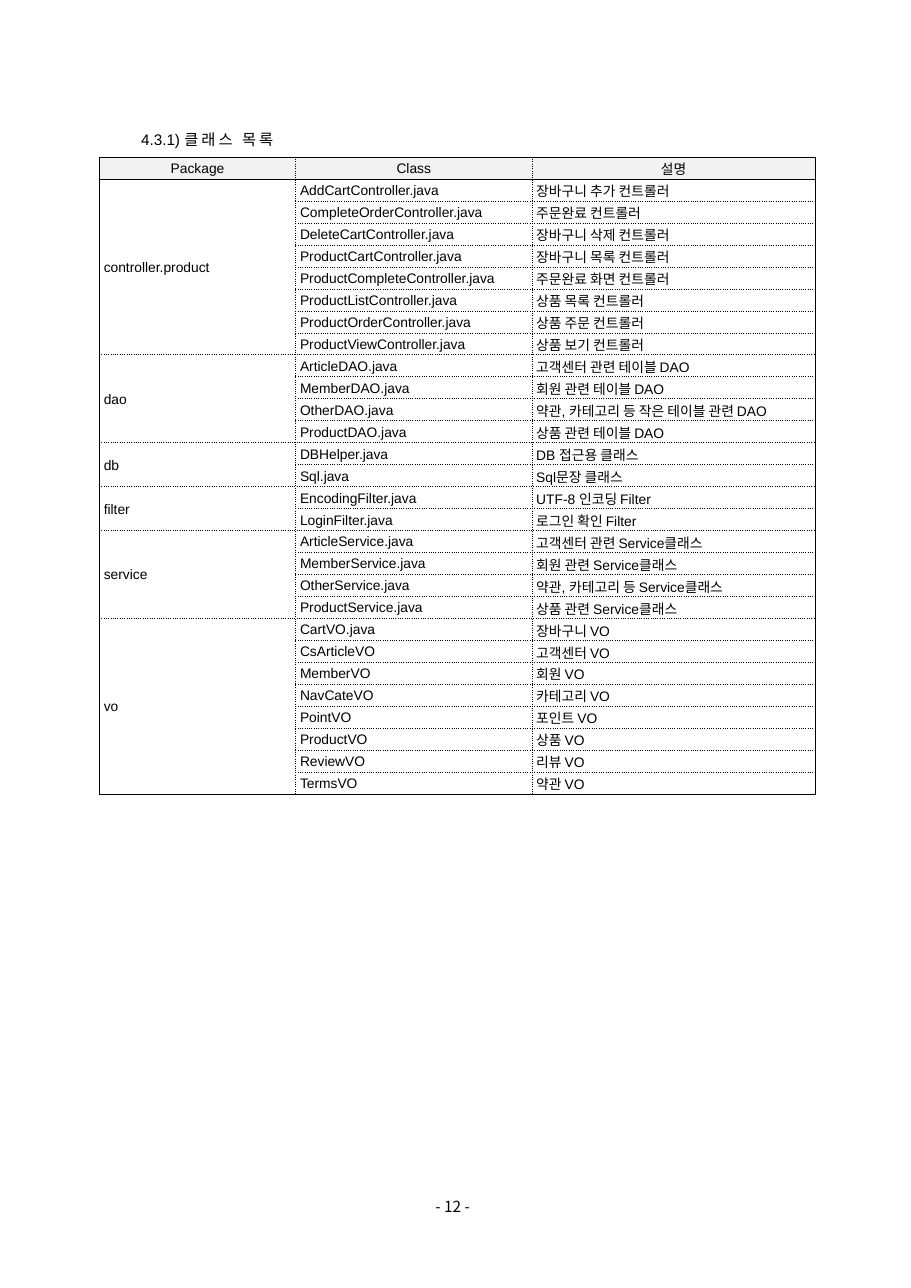
from lxml import etree
from pptx import Presentation, util as u
from pptx.dml.color import RGBColor
from pptx.enum import text
from pptx.oxml import ns

COLORS = {"ink": "000000", "header": "F2F2F2"}
LATIN, KOREAN = "Arial", "Noto Sans CJK KR"

HEADINGS = ("Package", "Class", "설명")
PACKAGES = {
    "controller.product": [
        ("AddCartController.java", "장바구니 추가 컨트롤러"),
        ("CompleteOrderController.java", "주문완료 컨트롤러"),
        ("DeleteCartController.java", "장바구니 삭제 컨트롤러"),
        ("ProductCartController.java", "장바구니 목록 컨트롤러"),
        ("ProductCompleteController.java", "주문완료 화면 컨트롤러"),
        ("ProductListController.java", "상품 목록 컨트롤러"),
        ("ProductOrderController.java", "상품 주문 컨트롤러"),
        ("ProductViewController.java", "상품 보기 컨트롤러"),
    ],
    "dao": [
        ("ArticleDAO.java", "고객센터 관련 테이블 DAO"),
        ("MemberDAO.java", "회원 관련 테이블 DAO"),
        ("OtherDAO.java", "약관, 카테고리 등 작은 테이블 관련 DAO"),
        ("ProductDAO.java", "상품 관련 테이블 DAO"),
    ],
    "db": [
        ("DBHelper.java", "DB 접근용 클래스"),
        ("Sql.java", "Sql문장 클래스"),
    ],
    "filter": [
        ("EncodingFilter.java", "UTF-8 인코딩 Filter"),
        ("LoginFilter.java", "로그인 확인 Filter"),
    ],
    "service": [
        ("ArticleService.java", "고객센터 관련 Service클래스"),
        ("MemberService.java", "회원 관련 Service클래스"),
        ("OtherService.java", "약관, 카테고리 등 Service클래스"),
        ("ProductService.java", "상품 관련 Service클래스"),
    ],
    "vo": [
        ("CartVO.java", "장바구니 VO"),
        ("CsArticleVO", "고객센터 VO"),
        ("MemberVO", "회원 VO"),
        ("NavCateVO", "카테고리 VO"),
        ("PointVO", "포인트 VO"),
        ("ProductVO", "상품 VO"),
        ("ReviewVO", "리뷰 VO"),
        ("TermsVO", "약관 VO"),
    ],
}


def add_span(para, words, size, latin=LATIN, spacing=0):
    """Add a run with Latin and Korean fonts; spacing is in points."""
    span = para.add_run()
    span.text = words
    span.font.size = u.Pt(size)
    span.font.name = latin
    span.font.color.rgb = RGBColor.from_string(COLORS["ink"])
    props = span.font._element
    etree.SubElement(props, ns.qn("a:ea"), typeface=KOREAN)
    if spacing:
        props.set("spc", str(spacing * 100))


def add_border(cell, side, solid):
    """Draw one edge of a cell, solid or dotted."""
    line = etree.SubElement(cell._tc.get_or_add_tcPr(), ns.qn(f"a:ln{side}"), w=str(u.Pt(0.5)))
    fill = etree.SubElement(line, ns.qn("a:solidFill"))
    etree.SubElement(fill, ns.qn("a:srgbClr"), val=COLORS["ink"])
    etree.SubElement(line, ns.qn("a:prstDash"), val="solid" if solid else "sysDot")


deck = Presentation()
deck.slide_width, deck.slide_height = u.Cm(20.98), u.Cm(29.67)
page = deck.slides.add_slide(deck.slide_layouts[6])

# Section title and page number: left, top, width, height, line pitch, spans
labels = [
    (3.25, 3.02, 3.56, 0.38, 11.4, [("4.3.1) ", LATIN, 0), ("클래스 목록", LATIN, 2)]),
    (10.03, 27.53, 1.35, 0.58, 13.2, [("- 12 -", KOREAN, 0)]),
]
for left, top, width, height, pitch, spans in labels:
    box = page.shapes.add_textbox(u.Cm(left), u.Cm(top), u.Cm(width), u.Cm(height))
    frame = box.text_frame
    frame.word_wrap = True
    frame.margin_left = frame.margin_right = frame.margin_top = frame.margin_bottom = 0
    para = frame.paragraphs[0]
    para.line_spacing = u.Pt(pitch)
    for words, font, spacing in spans:
        add_span(para, words, 10, font, spacing)

# Class table
rows = [HEADINGS]
for package, classes in PACKAGES.items():
    rows += [(package, *entry) for entry in classes]
widths = (4.52, 5.44, 6.53)
last_row, last_col = len(rows) - 1, len(widths) - 1
table = page.shapes.add_table(
    len(rows), len(widths), u.Cm(2.29), u.Cm(3.62), u.Cm(sum(widths)), u.Cm(14.7)
).table
table.first_row = table.horz_banding = False
for column, width in zip(table.columns, widths):
    column.width = u.Cm(width)

first = 1
for classes in PACKAGES.values():
    table.cell(first, 0).merge(table.cell(first + len(classes) - 1, 0))
    first += len(classes)

for r, row in enumerate(rows):
    for c, words in enumerate(row):
        cell = table.cell(r, c)
        if cell.is_spanned:
            continue
        bottom = r + cell.span_height - 1 if cell.is_merge_origin else r
        cell.margin_left = cell.margin_right = u.Cm(0.1)
        cell.margin_top, cell.margin_bottom = u.Cm(0.03), 0
        cell.vertical_anchor = text.MSO_ANCHOR.MIDDLE
        add_border(cell, "L", c == 0)
        add_border(cell, "R", c == last_col)
        add_border(cell, "T", r <= 1)
        add_border(cell, "B", bottom in (0, last_row))
        para = cell.text_frame.paragraphs[0]
        if r == 0:
            cell.fill.solid()
            cell.fill.fore_color.rgb = RGBColor.from_string(COLORS["header"])
            para.alignment = text.PP_ALIGN.CENTER
        else:
            cell.fill.background()
        add_span(para, words, 9)

deck.save("out.pptx")
